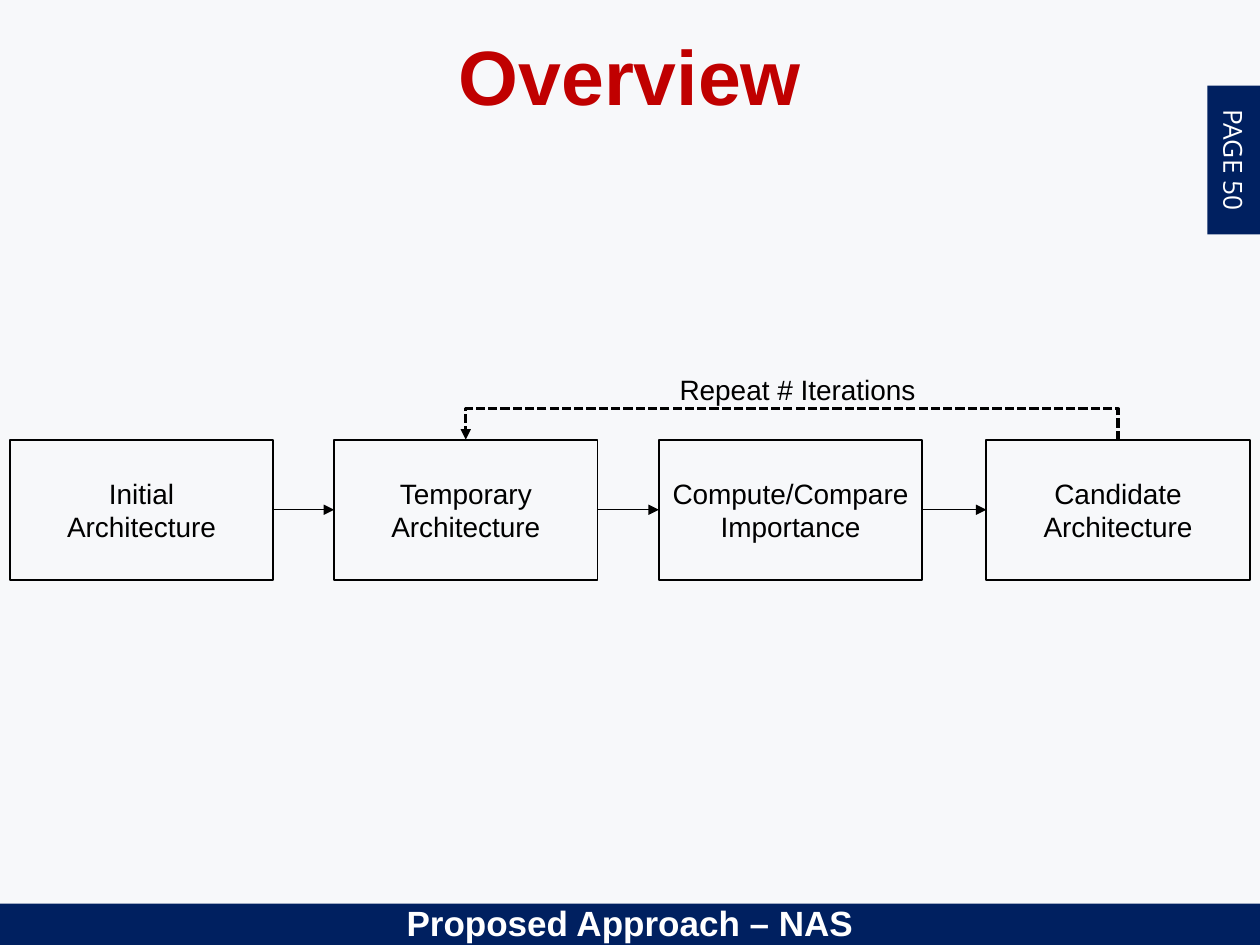
from lxml import etree
from pptx import Presentation
from pptx.dml.color import RGBColor
from pptx.enum.dml import MSO_LINE
from pptx.enum.shapes import MSO_CONNECTOR, MSO_SHAPE
from pptx.enum.text import MSO_ANCHOR, PP_ALIGN
from pptx.oxml.ns import qn
from pptx.util import Pt

RECTANGLE = MSO_SHAPE.RECTANGLE
STRAIGHT = MSO_CONNECTOR.STRAIGHT
ELBOW = MSO_CONNECTOR.ELBOW
DASHED = MSO_LINE.SQUARE_DOT
CENTER = PP_ALIGN.CENTER
MIDDLE = MSO_ANCHOR.MIDDLE
TOP = MSO_ANCHOR.TOP
RIGHT_SIDE, LEFT_SIDE = 3, 1

NAVY, RED, BLACK, WHITE, PALE = "002060", "C00000", "000000", "FFFFFF", "F7F8FA"
STEP_TOP, STEP_WIDTH, STEP_HEIGHT = 251.3, 150.5, 80
STEPS = [
    (5.6, "Initial\nArchitecture"),
    (190.9, "Temporary\nArchitecture"),
    (376.5, "Compute/Compare\nImportance"),
    (563.6, "Candidate Architecture"),
]


def color(value):
    return RGBColor.from_string(value)


def write(shape, text, size=16, ink=BLACK, font="Arial", bold=False, anchor=MIDDLE):
    frame = shape.text_frame
    frame.word_wrap = True
    frame.vertical_anchor = anchor
    frame.text = text
    for para in frame.paragraphs:
        para.alignment = CENTER
        for span in para.runs:
            span.font.name = font
            span.font.size = Pt(size)
            span.font.bold = bold
            span.font.color.rgb = color(ink)


def add_label(page, left, top, width, height, text, **style):
    box = page.shapes.add_textbox(Pt(left), Pt(top), Pt(width), Pt(height))
    write(box, text, **style)


def add_box(page, left, top, width, height, fill=None, line=None):
    box = page.shapes.add_shape(RECTANGLE, Pt(left), Pt(top), Pt(width), Pt(height))
    box.shadow.inherit = False
    if fill:
        box.fill.solid()
        box.fill.fore_color.rgb = color(fill)
    else:
        box.fill.background()
    if line:
        box.line.color.rgb = color(line)
        box.line.width = Pt(1)
    else:
        box.line.fill.background()
    return box


def add_step(page, left, text):
    box = add_box(page, left, STEP_TOP, STEP_WIDTH, STEP_HEIGHT, line=BLACK)
    write(box, text)
    return box


def style_arrow(arrow, width):
    arrow.line.color.rgb = color(BLACK)
    arrow.line.width = Pt(width)
    outline = arrow.line._get_or_add_ln()
    etree.SubElement(outline, qn("a:tailEnd"), type="triangle")
    etree.SubElement(arrow._element.spPr, qn("a:effectLst"))


def add_arrow(page, source, target):
    arrow = page.shapes.add_connector(STRAIGHT, 0, 0, 0, 0)
    arrow.begin_connect(source, RIGHT_SIDE)
    arrow.end_connect(target, LEFT_SIDE)
    style_arrow(arrow, 0.5)


def add_loop(page, start, end, level, rise):
    depth = 0.25
    middle = (start + end) / 2
    half_span = (start - end) / 2
    loop = page.shapes.add_connector(
        ELBOW,
        Pt(middle - depth / 2), Pt(level + half_span),
        Pt(middle + depth / 2), Pt(level - half_span),
    )
    properties = loop._element.spPr
    properties.find(qn("a:xfrm")).set("rot", str(270 * 60000))
    guides = properties.find(qn("a:prstGeom")).find(qn("a:avLst"))
    bend = round(rise / depth * 100000)
    etree.SubElement(guides, qn("a:gd"), name="adj1", fmla=f"val {bend}")
    loop.line.dash_style = DASHED
    style_arrow(loop, 1.75)


def main():
    deck = Presentation()
    deck.slide_width, deck.slide_height = Pt(720), Pt(540)
    page = deck.slides.add_slide(deck.slide_layouts[6])
    page.background.fill.solid()
    page.background.fill.fore_color.rgb = color(PALE)

    add_box(page, 0, 516.3, 720, 24, fill=NAVY)
    page_tab = add_box(page, 662.5, 76.3, 85, 30.2, fill=NAVY)
    page_tab.rotation = 90
    write(page_tab, "PAGE 50", size=15, ink=WHITE, font="Open Sans")
    add_label(page, 36, 8.6, 648, 67.7, "Overview", size=44, ink=RED, bold=True)
    add_label(page, 139.5, 511.5, 441, 26, "Proposed Approach – NAS",
              size=20, ink=WHITE, bold=True, anchor=TOP)

    boxes = [add_step(page, left, text) for left, text in STEPS]
    for source, target in zip(boxes, boxes[1:]):
        add_arrow(page, source, target)

    centers = [left + STEP_WIDTH / 2 for left, _ in STEPS]
    add_loop(page, centers[3], centers[1], STEP_TOP, 17.5)
    add_label(page, 375, 208, 161.5, 29, "Repeat # Iterations")

    deck.save("out.pptx")


if __name__ == "__main__":
    main()
